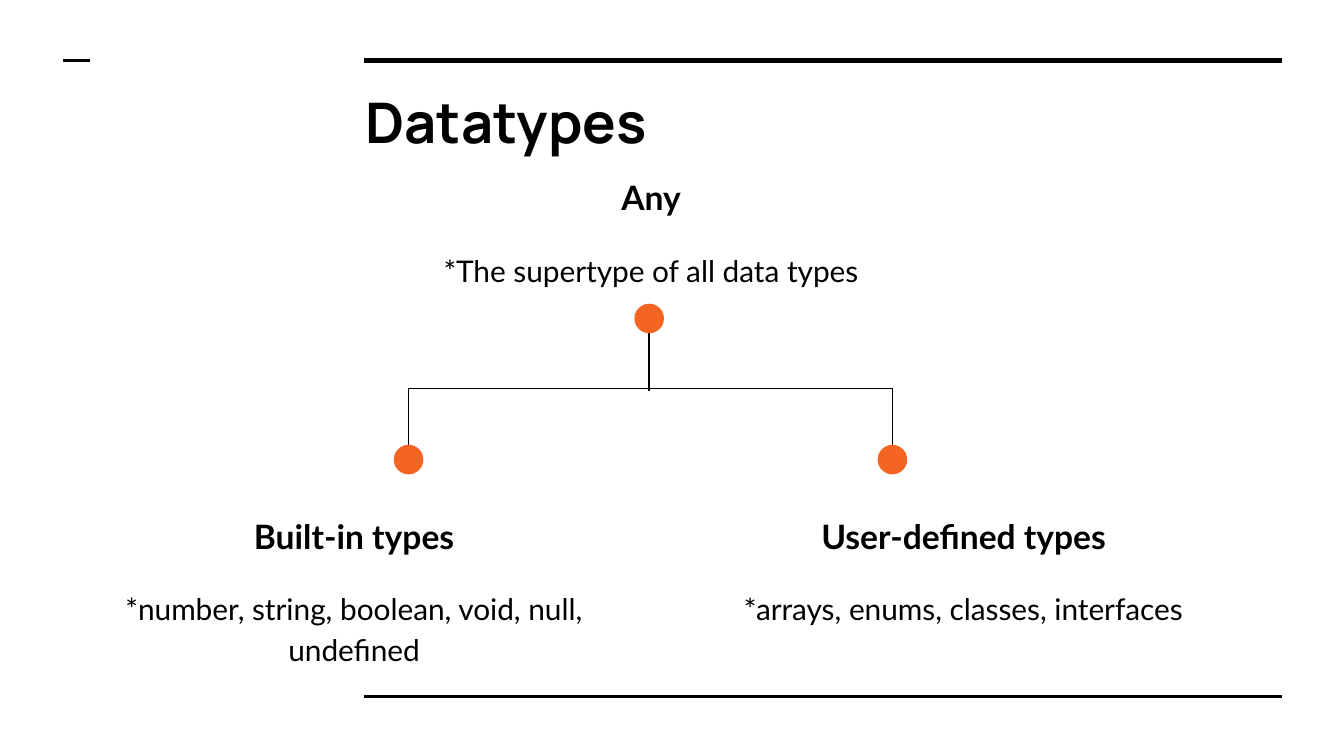
from lxml import etree
from pptx import Presentation
from pptx.dml.color import RGBColor
from pptx.enum import shapes, text
from pptx.oxml.ns import qn
from pptx.util import Inches, Pt

BLACK = "000000"
ORANGE = "F46524"
DOT = 0.22
LEFT_X, ROOT_X, RIGHT_X = 3.04, 4.83, 6.64
BRANCH_Y = 2.89


def color(value):
    return RGBColor.from_string(value)


def add_line(slide, x1, y1, x2, y2, width=0.75):
    line = slide.shapes.add_connector(
        shapes.MSO_CONNECTOR.STRAIGHT,
        Inches(x1), Inches(y1), Inches(x2), Inches(y2))
    line.line.color.rgb = color(BLACK)
    line.line.width = Pt(width)
    etree.SubElement(line._element.spPr, qn("a:effectLst"))


def add_dot(slide, x, y):
    sp = slide.shapes.add_shape(
        shapes.MSO_SHAPE.OVAL, Inches(x - DOT / 2), Inches(y - DOT / 2),
        Inches(DOT), Inches(DOT))
    sp.shadow.inherit = False
    sp.fill.solid()
    sp.fill.fore_color.rgb = color(ORANGE)
    sp.line.fill.background()


def setup_frame(sp):
    tf = sp.text_frame
    tf.word_wrap = True
    tf.auto_size = text.MSO_AUTO_SIZE.NONE
    tf.vertical_anchor = text.MSO_ANCHOR.TOP
    tf.margin_left = tf.margin_right = Inches(0.1)
    tf.margin_top = tf.margin_bottom = Inches(0.1)
    return tf


def write(p, words, size, font="Lato", bold=False, align=text.PP_ALIGN.CENTER,
          spacing=1.15, after=16):
    p.alignment = align
    p.line_spacing = spacing
    p.space_before = Pt(0)
    p.space_after = Pt(after)
    r = p.add_run()
    r.text = words
    r.font.name = font
    r.font.size = Pt(size)
    r.font.bold = bold
    r.font.color.rgb = color(BLACK)


def add_title(slide, words):
    sp = slide.shapes.title
    sp.left, sp.top = Inches(2.62), Inches(0.55)
    sp.width, sp.height = Inches(6.91), Inches(0.69)
    write(setup_frame(sp).paragraphs[0], words, 30, font="Manrope", bold=True,
          align=text.PP_ALIGN.LEFT, spacing=1.0, after=0)


def add_type(slide, x, y, width, name, detail):
    sp = slide.shapes.add_textbox(
        Inches(x), Inches(y), Inches(width), Inches(0.99))
    tf = setup_frame(sp)
    write(tf.paragraphs[0], name, 18, bold=True)
    write(tf.add_paragraph(), detail, 16)


def main():
    prs = Presentation()
    prs.slide_width = Inches(10)
    prs.slide_height = Inches(10 * 9 / 16)
    slide = prs.slides.add_slide(prs.slide_layouts[5])

    add_line(slide, 2.71, 0.45, 9.54, 0.45, width=3)
    add_line(slide, 2.71, 5.18, 9.54, 5.18, width=1.5)
    add_line(slide, 0.47, 0.45, 0.67, 0.45, width=1.5)
    add_title(slide, "Datatypes")

    add_line(slide, ROOT_X, 2.3, ROOT_X, 2.91)
    add_dot(slide, ROOT_X, 2.37)
    for x in (LEFT_X, RIGHT_X):
        add_line(slide, x, 3.49, x, BRANCH_Y)
        add_dot(slide, x, 3.42)
    add_line(slide, LEFT_X, BRANCH_Y, RIGHT_X, BRANCH_Y)

    add_type(slide, 3.07, 1.17, 3.55, "Any", "*The supertype of all data types")
    add_type(slide, 0.33, 3.69, 4.61, "Built-in types",
             "*number, string, boolean, void, null, undefined")
    add_type(slide, 5.19, 3.69, 3.96, "User-defined types",
             "*arrays, enums, classes, interfaces")

    prs.save("out.pptx")


if __name__ == "__main__":
    main()
